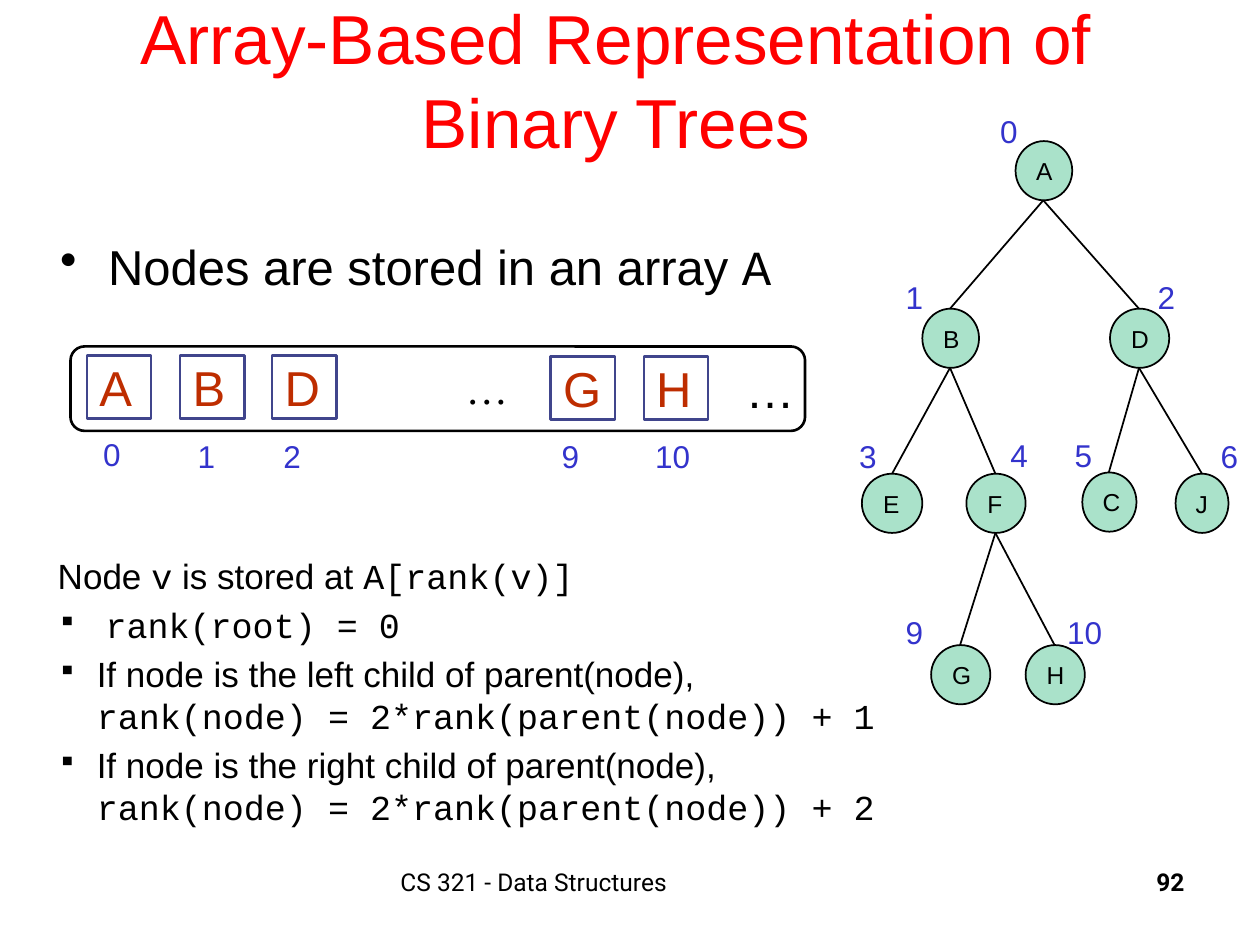
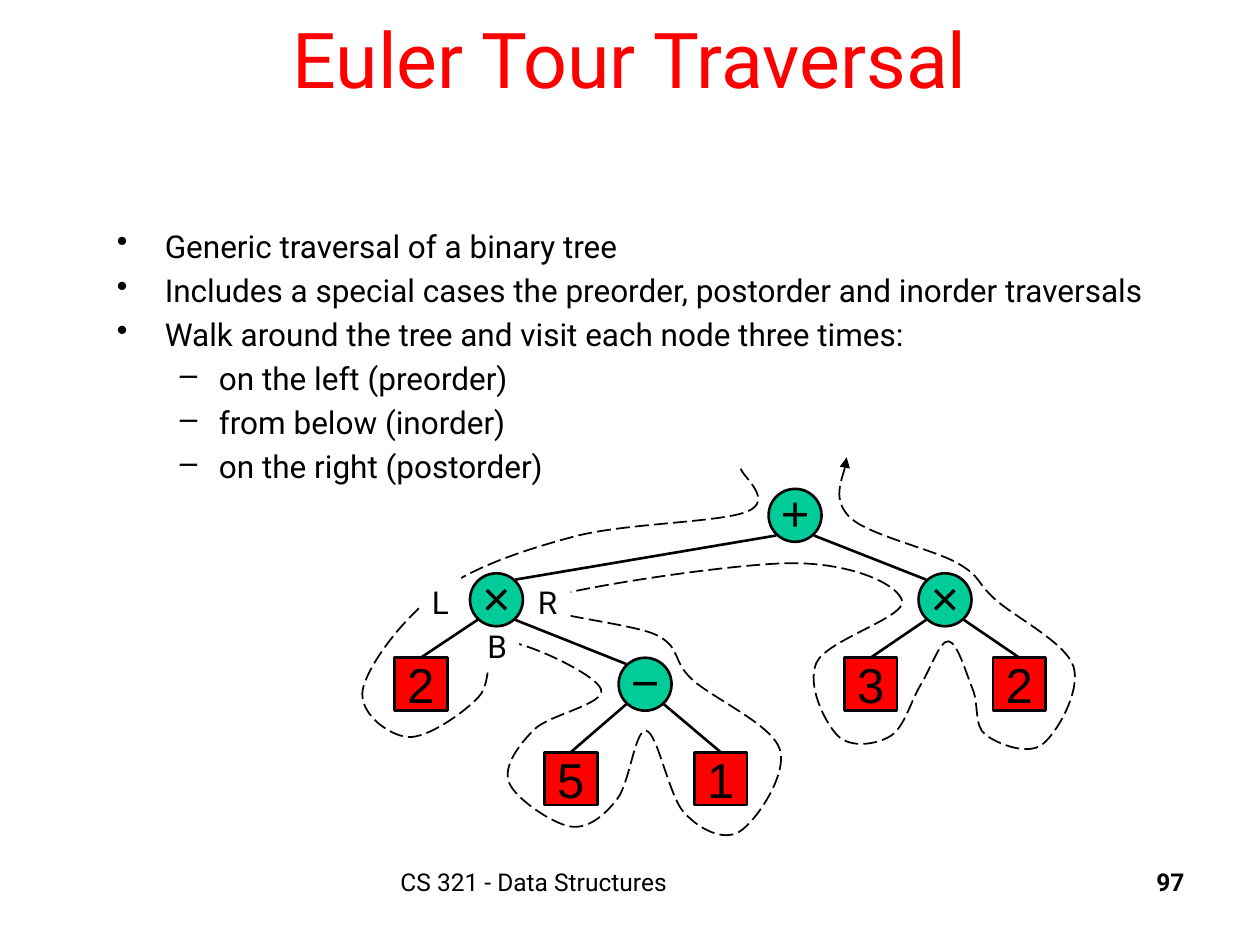
import pptx
import pptx.util
import pptx.dml.color
import pptx.enum.dml
import pptx.enum.shapes
import pptx.enum.text
import pptx.oxml
import pptx.oxml.ns
import lxml.etree

PX = 9144  # 100 px to the inch
ink = pptx.dml.color.RGBColor.from_string
Pt = pptx.util.Pt
FORM = pptx.enum.shapes.MSO_SHAPE
ALIGN = pptx.enum.text.PP_ALIGN
ANCHOR = pptx.enum.text.MSO_ANCHOR
FIT = pptx.enum.text.MSO_AUTO_SIZE
tag = pptx.oxml.ns.qn

BLACK, RED, BLUE = "000000", "FF0000", "3333CC"
SANS, MONO, BODY = "Arial", "Courier New", "Roboto"


def box(slide, at, paras, size, color=BLACK, form=None, fill=None, edge=None,
        weight=1, align=ALIGN.LEFT, middle=False, wrap=False, gap=0.2,
        bold=None, pad=None):
    """Text box or shape; a paragraph is (bullet, left, hang, runs)."""
    place = [n * PX for n in at]
    if form is None:
        shape = slide.shapes.add_textbox(*place)
    else:
        shape = slide.shapes.add_shape(form, *place)
        shape.shadow.inherit = False
        if fill:
            shape.fill.solid()
            shape.fill.fore_color.rgb = ink(fill)
        else:
            shape.fill.background()
        if edge:
            shape.line.color.rgb = ink(edge)
            shape.line.width = Pt(weight)
        else:
            shape.line.fill.background()
    frame = shape.text_frame
    frame.word_wrap = wrap
    grow = not wrap and align == ALIGN.LEFT
    frame.auto_size = FIT.SHAPE_TO_FIT_TEXT if grow else FIT.NONE
    frame.vertical_anchor = ANCHOR.MIDDLE if middle else ANCHOR.TOP
    if pad:
        (frame.margin_left, frame.margin_top,
         frame.margin_right, frame.margin_bottom) = [n * PX for n in pad]
    for i, (mark, left, hang, runs) in enumerate(paras):
        para = frame.add_paragraph() if i else frame.paragraphs[0]
        para.alignment = align
        if gap:
            para.space_before = Pt(size * gap)
        if mark:
            para.level = 1 if mark == "–" else 0
            props = para._p.get_or_add_pPr()
            props.set("marL", str(left * PX))
            props.set("indent", str(-hang * PX))
            if mark == "▪":
                lxml.etree.SubElement(props, tag("a:buSzPct"), val="75000")
            lxml.etree.SubElement(props, tag("a:buChar"), char=mark)
        for text, face in runs:
            run = para.add_run()
            run.text = text
            run.font.name = face
            run.font.size = Pt(size)
            run.font.bold = bold
            run.font.color.rgb = ink(color)
    return shape


def link(slide, start, end, weight):
    """Straight black line without a shadow."""
    line = slide.shapes.add_connector(
        pptx.enum.shapes.MSO_CONNECTOR.STRAIGHT,
        *[n * PX for n in (*start, *end)])
    line.line.color.rgb = ink(BLACK)
    line.line.width = Pt(weight)
    lxml.etree.SubElement(line._element.spPr, tag("a:effectLst"))


deck = pptx.Presentation()
deck.slide_width, deck.slide_height = 1000 * PX, 750 * PX

# Titles and footers of both slides
heads = [
    ("Array-Based Representation of Binary Trees", SANS, 39.6, (64, 0), "92"),
    ("Euler Tour Traversal", BODY, 44, (75, -17), "97"),
]
slides = []
for title, face, size, spot, page in heads:
    slide = deck.slides.add_slide(deck.slide_layouts[6])
    slides.append(slide)
    box(slide, (*spot, 850, 125), [("", 0, 0, [(title, face)])], size, RED,
        align=ALIGN.CENTER, middle=True, wrap=True, gap=0)
    box(slide, (308, 683, 383, 50),
        [("", 0, 0, [("CS 321 - Data Structures", BODY)])], 14,
        wrap=True, gap=0)
    box(slide, (742, 683, 208, 50), [("", 0, 0, [(page, BODY)])], 14,
        align=ALIGN.RIGHT, wrap=True, gap=0, bold=True)
array, tour = slides

# Slide 1: text
box(array, (38, 183, 850, 67),
    [("•", 38, 38, [("Nodes are stored in an array ", SANS), ("A", MONO)])],
    28, wrap=True)
rules = [
    ("", 0, 0, [("Node ", SANS), ("v", MONO), (" is stored at ", SANS),
                ("A[rank(v)]", MONO)]),
    ("▪", 38, 38, [("rank(root) = 0", MONO)]),
]
for side, step in (("left", 1), ("right", 2)):
    rules.append(("▪", 31, 38, [
        (f"If node is the {side} child of parent(node), ", SANS),
        (f"rank(node) = 2*rank(parent(node)) + {step}", MONO)]))
box(array, (36, 435, 672, 284), rules, 20, wrap=True)

# Slide 1: tree, each node with left, top, width, parent, rank and its place
HIGH = 47
nodes = {
    "A": (806, 112, 45, None, "0", 784, 84),
    "B": (732, 245, 45, "A", "1", 709, 216),
    "D": (881, 245, 47, "A", "2", 909, 216),
    "E": (684, 376, 48, "B", "3", 672, 342),
    "F": (767, 376, 47, "B", "4", 792, 341),
    "C": (859, 375, 43, "D", "5", 843, 341),
    "J": (933, 376, 42, "D", "6", 959, 342),
    "G": (739, 512, 47, "F", "9", 709, 482),
    "H": (814, 512, 47, "F", "10", 837, 482),
}
for name, (x, y, wide, above, rank, rx, ry) in nodes.items():
    if above:
        px, py, pw = nodes[above][:3]
        link(array, (px + pw // 2, py + HIGH), (x + wide // 2, y), 1)
    box(array, (x, y, wide, HIGH), [("", 0, 0, [(name, SANS)])], 14,
        form=FORM.OVAL, fill="AAE2CA", edge=BLACK, middle=True)
    box(array, (rx, ry, 48 if len(rank) > 1 else 34, 40),
        [("", 0, 0, [(rank, SANS)])], 18, BLUE)

# Slide 1: array cells with their ranks
cells = [("A", 69, 282, "0", 72, 340), ("B", 143, 282, "1", 147, 342),
         ("D", 216, 282, "2", 215, 342), ("G", 437, 283, "9", 436, 342),
         ("H", 511, 283, "10", 510, 342)]
for name, x, y, rank, rx, ry in cells:
    box(array, (x, y, 51, 50), [("", 0, 0, [(name, SANS)])], 28, "BE2D00",
        form=FORM.RECTANGLE, edge="40458C", weight=1.5, middle=True)
    box(array, (rx, ry, 48 if len(rank) > 1 else 34, 40),
        [("", 0, 0, [(rank, SANS)])], 18, BLUE)
box(array, (360, 283, 50, 50), [("", 0, 0, [("…", "Times New Roman")])], 24)
box(array, (582, 283, 48, 51), [("", 0, 0, [("…", SANS)])], 28, middle=True)
box(array, (56, 275, 583, 67), [], 18, form=FORM.ROUNDED_RECTANGLE,
    edge=BLACK, weight=1.5)

# Slide 2: bullets
points = [
    "Generic traversal of a binary tree",
    "Includes a special cases the preorder, postorder and inorder traversals",
    "Walk around the tree and visit each node three times:",
]
visits = ["on the left (preorder)", "from below (inorder)",
          "on the right (postorder)"]
box(tour, (83, 175, 867, 233),
    [("•", 38, 38, [(text, BODY)]) for text in points]
    + [("–", 81, 31, [(text, BODY)]) for text in visits], 18, wrap=True)

# Slide 2: dashed walk, a smooth curve through these knots
knots = [
    (588, 372), (593, 406), (455, 426), (348, 470), (288, 547), (324, 585),
    (380, 553), (399, 509), (477, 547), (424, 579), (404, 621), (453, 656),
    (490, 634), (513, 580), (543, 645), (587, 660), (619, 595), (549, 539),
    (521, 504), (427, 477), (629, 447), (716, 477), (648, 526), (665, 584),
    (707, 584), (731, 543), (753, 509), (772, 547), (782, 583), (827, 591),
    (852, 529), (789, 475), (760, 447), (675, 411), (672, 363),
]
ends = [knots[0], *knots, knots[-1]]
bends = []
for (ax, ay), (bx, by), (cx, cy), (dx, dy) in zip(
        ends, ends[1:], ends[2:], ends[3:]):
    bends += [(bx + (cx - ax) / 6, by + (cy - ay) / 6),
              (cx - (dx - bx) / 6, cy - (dy - by) / 6), (cx, cy)]
pen = tour.shapes.build_freeform(*knots[0], scale=PX)
pen.add_line_segments(bends, close=False)
walk = pen.convert_to_shape()
walk.shadow.inherit = False
walk.fill.background()
walk.line.color.rgb = ink(BLACK)
walk.line.width = Pt(1)
walk.line.dash_style = pptx.enum.dml.MSO_LINE.LONG_DASH
lxml.etree.SubElement(walk.line._get_or_add_ln(), tag("a:tailEnd"),
                      type="triangle")
# Join each three segments into one cubic curve
track = walk._element.xpath(".//a:path")[0]
steps = track.findall(tag("a:lnTo"))
for i in range(0, len(steps), 3):
    curve = lxml.etree.SubElement(track, tag("a:cubicBezTo"))
    for step in steps[i:i + 3]:
        curve.append(step[0])
        track.remove(step)

# Slide 2: visit labels
for name, x, y, wide in (("L", 333, 458, 33), ("B", 377, 493, 35),
                         ("R", 417, 458, 36)):
    box(tour, (x, y, wide, 40), [("", 0, 0, [(name, BODY)])], 18,
        form=FORM.RECTANGLE, fill="FFFFFF")

# Slide 2: expression tree, each node with sign, left, top, parent
SIDE = 42
terms = [("+", 610, 388, None), ("×", 373, 455, 0), ("×", 729, 455, 0),
         ("2", 313, 522, 1), ("−", 491, 522, 1), ("3", 670, 522, 2),
         ("2", 788, 522, 2), ("5", 432, 597, 4), ("1", 551, 597, 4)]
for sign, x, y, above in terms:
    if above is not None:
        px, py = terms[above][1:3]
        way = 15 if x > px else -15
        mid = SIDE // 2
        end = (x + mid, y) if sign.isdigit() else (x + mid - way, y + 5)
        link(tour, (px + mid + way, py + mid + 16), end, 1.5)
for sign, x, y, above in terms:
    leaf = sign.isdigit()
    box(tour, (x, y, SIDE, SIDE), [("", 0, 0, [(sign, SANS)])], 28,
        form=FORM.RECTANGLE if leaf else FORM.OVAL,
        fill=RED if leaf else "00CC99", edge=BLACK, weight=1.5,
        align=ALIGN.CENTER, middle=True, pad=None if leaf else (0, 0, 0, 5))

deck.save("out.pptx")
